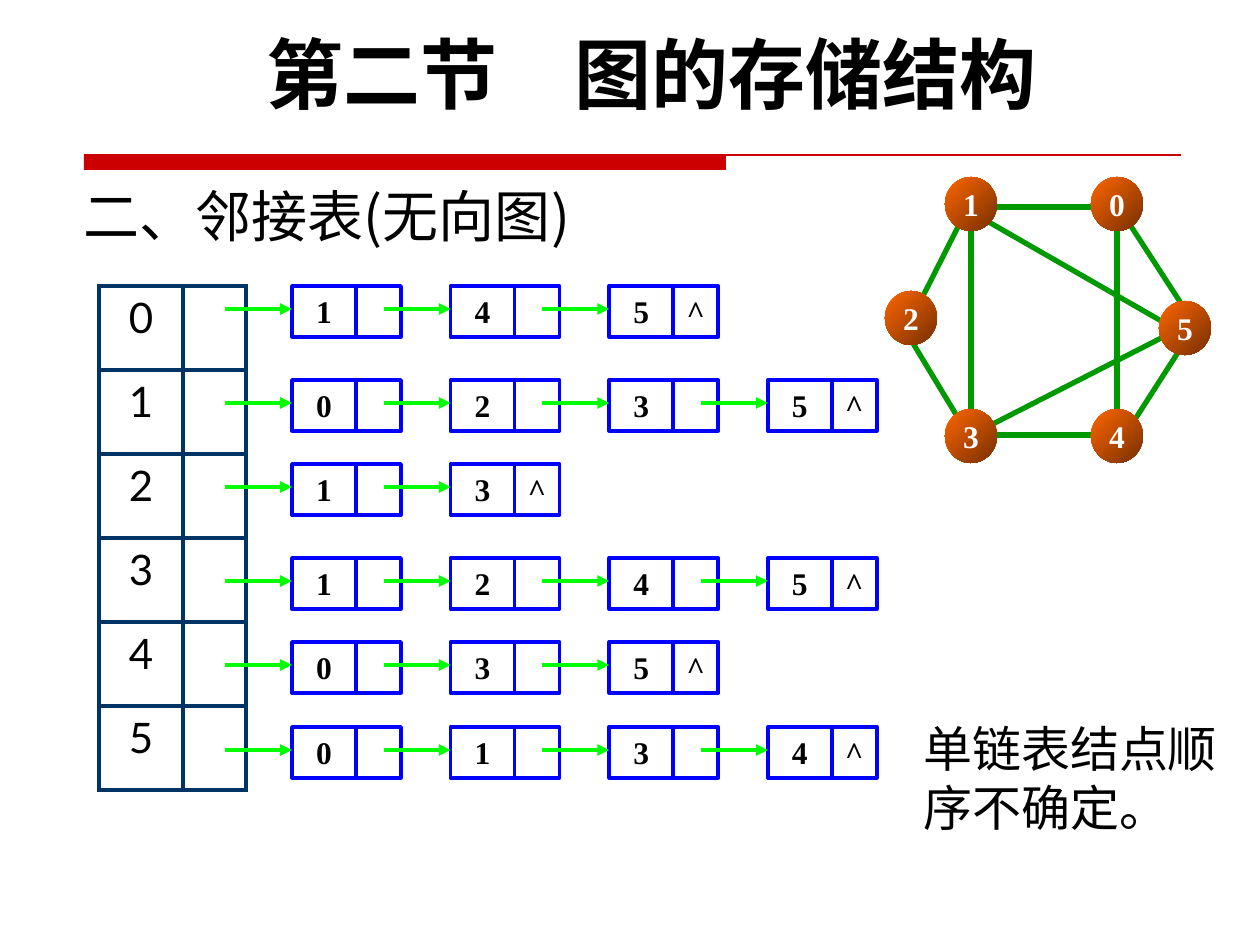
import pptx
import pptx.chart.data
import pptx.dml.color
import pptx.enum.shapes
import pptx.enum.text
import pptx.oxml
import pptx.oxml.ns
import pptx.util
from lxml import etree

# Content
HEADING = "第二节　图的存储结构"
TITLE = "二、邻接表(无向图)"
NOTE = "单链表结点顺序不确定。"
END_MARK = "^"
ADJACENCY = [  # top of the list, neighbours of vertices 0 to 5
    (286, "145"),
    (380, "0235"),
    (464, "13"),
    (558, "1245"),
    (642, "035"),
    (727, "0134"),
]
VERTICES = {  # centres
    "1": (971, 204), "3": (971, 436), "2": (911, 318),
    "5": (1185, 328), "4": (1117, 436), "0": (1117, 204),
}
EDGES = [  # ends on the rims of the vertices
    (1100, 207, 997, 207), (1117, 226, 1117, 416), (1125, 217, 1186, 311),
    (963, 217, 920, 302), (971, 426, 971, 226), (1177, 330, 980, 217),
    (963, 426, 911, 340), (1109, 435, 980, 435), (1177, 330, 989, 426),
    (1186, 340, 1125, 435),
]
COLORS = {
    "rule": "CC0000", "edge": "009900", "vertex": "FF6600", "vertex_dark": "762F00",
    "table": "003366", "node": "0000FF", "arrow": "00FF00",
    "text": "000000", "label": "FFFFFF",
}
CJK, LATO, SERIF = "Noto Sans CJK SC", "Lato", "Times New Roman"
ALIGN = pptx.enum.text.PP_ALIGN
ANCHOR = pptx.enum.text.MSO_ANCHOR
SHAPE = pptx.enum.shapes.MSO_SHAPE
EMU_PER_PX = 914400 / 126

# Measures
VERTEX_W, VERTEX_H = 52, 54
NODE_LEFT, NODE_STEP, NODE_H = 292, 158.6, 51
DATA_W, LINK_W = 64, 45
ARROW_LENGTH, ARROW_DROP = 67, 23
TABLE_LEFT, TABLE_TOP, ROW_H, COLUMN_WIDTHS = 99, 286, 84, (84, 63)


def px(*lengths):
    return [pptx.util.Emu(round(length * EMU_PER_PX)) for length in lengths]


def rgb(name):
    return pptx.dml.color.RGBColor.from_string(COLORS[name])


def write(frame, text, size, font, color="text", bold=False, align=ALIGN.LEFT):
    para = frame.paragraphs[0]
    para.text = text
    para.alignment = align
    para.font.size = pptx.util.Pt(size)
    para.font.name = font
    para.font.bold = bold
    para.font.color.rgb = rgb(color)
    east_asian = pptx.oxml.parse_xml(
        f'<a:ea {pptx.oxml.ns.nsdecls("a")} typeface="{CJK}"/>')
    para.font._element.find(pptx.oxml.ns.qn("a:latin")).addnext(east_asian)


def add_text(page, bounds, text, size, font, **style):
    box = page.shapes.add_textbox(*px(*bounds))
    box.text_frame.word_wrap = True
    write(box.text_frame, text, size, font, **style)


def add_line(shapes, ends, color, width, arrow=False):
    line = shapes.add_connector(pptx.enum.shapes.MSO_CONNECTOR.STRAIGHT, *px(*ends))
    line.line.color.rgb = rgb(color)
    line.line.width = pptx.util.Pt(width)
    if arrow:
        etree.SubElement(line.line._get_or_add_ln(),
                         pptx.oxml.ns.qn("a:tailEnd"), type="triangle")
    etree.SubElement(line._element.spPr, pptx.oxml.ns.qn("a:effectLst"))


def add_cell_box(shapes, bounds, text):
    box = shapes.add_shape(SHAPE.RECTANGLE, *px(*bounds))
    box.shadow.inherit = False
    box.fill.background()
    box.line.color.rgb = rgb("node")
    box.line.width = pptx.util.Pt(2)
    if text:
        box.text_frame.vertical_anchor = ANCHOR.TOP
        write(box.text_frame, text, 18, SERIF, bold=True, align=ALIGN.CENTER)


def add_vertex(shapes, label, x, y):
    disc = shapes.add_shape(SHAPE.OVAL, *px(
        x - VERTEX_W / 2, y - VERTEX_H / 2, VERTEX_W, VERTEX_H))
    disc.shadow.inherit = False
    disc.line.fill.background()
    disc.fill.gradient()
    disc.fill.gradient_angle = 315
    for stop, position, color in zip(disc.fill.gradient_stops, (0, 1),
                                     ("vertex", "vertex_dark")):
        stop.position = position
        stop.color.rgb = rgb(color)
    frame = disc.text_frame
    frame.margin_left = frame.margin_right = 0
    frame.word_wrap = False
    frame.vertical_anchor = ANCHOR.MIDDLE
    write(frame, label, 18, SERIF, color="label", bold=True, align=ALIGN.CENTER)


def add_vertex_table(page):
    rows = len(ADJACENCY)
    frame = page.shapes.add_table(rows, len(COLUMN_WIDTHS), *px(
        TABLE_LEFT, TABLE_TOP, sum(COLUMN_WIDTHS), rows * ROW_H))
    table = frame.table
    table.first_row = table.horz_banding = False
    for column, width in zip(table.columns, px(*COLUMN_WIDTHS)):
        column.width = width
    for index, row in enumerate(table.rows):
        row.height = px(ROW_H)[0]
        write(row.cells[0].text_frame, str(index), 24, LATO, align=ALIGN.CENTER)
        for cell in row.cells:
            properties = cell._tc.get_or_add_tcPr()
            for side in ("lnL", "lnR", "lnT", "lnB"):
                properties.append(pptx.oxml.parse_xml(
                    f'<a:{side} {pptx.oxml.ns.nsdecls("a")} w="28575"><a:solidFill>'
                    f'<a:srgbClr val="{COLORS["table"]}"/></a:solidFill></a:{side}>'))
            cell.fill.background()


def add_linked_list(page, top, neighbours):
    lefts = [NODE_LEFT + NODE_STEP * i for i in range(len(neighbours))]
    for index, (left, neighbour) in enumerate(zip(lefts, neighbours), 1):
        node = page.shapes.add_group_shape().shapes
        mark = END_MARK if index == len(neighbours) else ""
        add_cell_box(node, (left, top, DATA_W, NODE_H), neighbour)
        add_cell_box(node, (left + DATA_W, top, LINK_W, NODE_H), mark)
    y = top + ARROW_DROP
    for left in lefts:
        add_line(page.shapes, (left - ARROW_LENGTH, y, left, y), "arrow", 2.25, arrow=True)


def main():
    deck = pptx.Presentation()
    deck.slide_width, deck.slide_height = px(1260, 945)
    page = deck.slides.add_slide(deck.slide_layouts[5])

    # Red rule
    bar = page.shapes.add_shape(SHAPE.RECTANGLE, *px(84, 155, 642, 15))
    bar.shadow.inherit = False
    bar.fill.solid()
    bar.fill.fore_color.rgb = rgb("rule")
    bar.line.fill.background()
    add_line(page.shapes, (84, 155, 1181, 155), "rule", 0.75)

    # Heading, title and note
    title = page.shapes.title
    title.left, title.top, title.width, title.height = px(71, 161, 913, 94)
    title.text_frame.vertical_anchor = ANCHOR.BOTTOM
    write(title.text_frame, TITLE, 32, CJK)
    add_text(page, (69, 20, 1166, 106), HEADING, 44, LATO, bold=True, align=ALIGN.CENTER)
    add_text(page, (911, 712, 339, 131), NOTE, 28, CJK)

    # Graph
    graph = page.shapes.add_group_shape().shapes
    for ends in EDGES:
        add_line(graph, ends, "edge", 3)
    for label, (x, y) in VERTICES.items():
        add_vertex(graph, label, x, y)

    # Adjacency lists
    add_vertex_table(page)
    for top, neighbours in ADJACENCY:
        add_linked_list(page, top, neighbours)

    deck.save("out.pptx")


if __name__ == "__main__":
    main()
